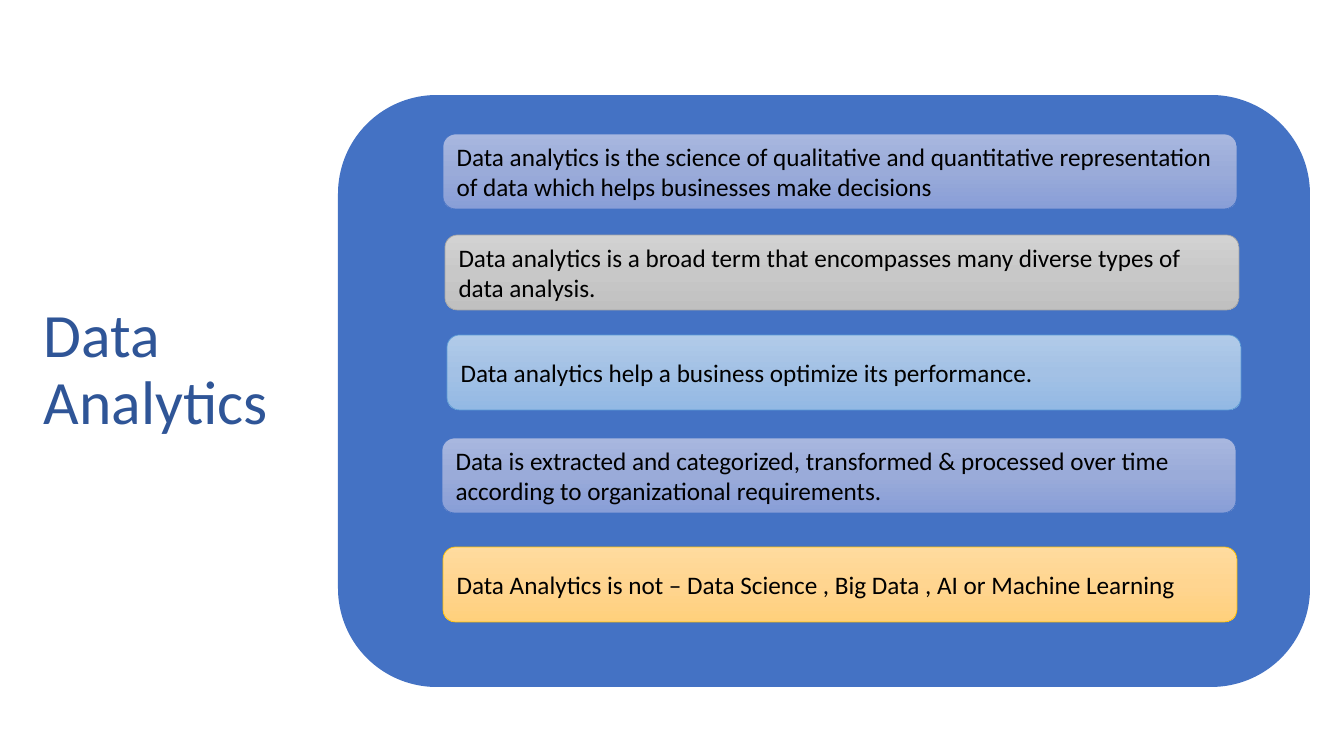
import copy
import dataclasses

import pptx
import pptx.dml.color
import pptx.enum.shapes
import pptx.enum.text
import pptx.oxml.ns
import pptx.util

SCALE = 12192000 / 1344


def px(n):
    return pptx.util.Emu(round(n * SCALE))


def rgb(value):
    return pptx.dml.color.RGBColor.from_string(value)


@dataclasses.dataclass(frozen=True)
class Theme:
    font: str = "Calibri"
    title_size: int = 44
    body_size: int = 18
    line_width: float = 0.5
    title: str = "2F5597"
    body: str = "000000"
    panel: str = "4472C4"
    indigo: tuple = ("4472C4", "A8B7DF", "9AABD9", "889ED7")
    gray: tuple = ("A5A5A5", "D2D2D2", "C8C8C8", "C0C0C0")
    sky: tuple = ("5B9BD5", "B1CBE9", "A3C1E5", "93B9E4")
    amber: tuple = ("FFC000", "FFDB9E", "FFD590", "FFD07C")


class Deck:
    def __init__(self, theme):
        self.theme = theme
        self.prs = pptx.Presentation()
        self.prs.slide_width, self.prs.slide_height = px(1344), px(756)
        self.slide = self.prs.slides.add_slide(self.prs.slide_layouts[6])

    def add_text(self, sp, text, size, color, spacing=1.0):
        tf = sp.text_frame
        tf.word_wrap = True
        tf.vertical_anchor = pptx.enum.text.MSO_ANCHOR.MIDDLE
        p = tf.paragraphs[0]
        p.alignment = pptx.enum.text.PP_ALIGN.LEFT
        p.line_spacing = spacing
        r = p.add_run()
        r.text = text
        r.font.name = self.theme.font
        r.font.size = pptx.util.Pt(size)
        r.font.color.rgb = rgb(color)

    def title(self, box, text):
        sp = self.slide.shapes.add_textbox(*map(px, box))
        self.add_text(sp, text, self.theme.title_size, self.theme.title, 0.9)

    def rounded(self, box):
        kind = pptx.enum.shapes.MSO_SHAPE.ROUNDED_RECTANGLE
        sp = self.slide.shapes.add_shape(kind, *map(px, box))
        sp.shadow.inherit = False
        return sp

    def panel(self, box):
        sp = self.rounded(box)
        sp.fill.solid()
        sp.fill.fore_color.rgb = rgb(self.theme.panel)
        sp.line.fill.background()

    def bar(self, box, text, palette):
        sp = self.rounded(box)
        line, *stops = palette
        sp.fill.gradient()
        sp.fill.gradient_angle = 270
        gs_list = sp.element.spPr.find(".//" + pptx.oxml.ns.qn("a:gsLst"))
        gs_list.insert(1, copy.deepcopy(gs_list[0]))
        for stop, color, position in zip(sp.fill.gradient_stops, stops, (0, 0.5, 1)):
            stop.color.rgb = rgb(color)
            stop.position = position
        sp.line.color.rgb = rgb(line)
        sp.line.width = pptx.util.Pt(self.theme.line_width)
        self.add_text(sp, text, self.theme.body_size, self.theme.body)


def main():
    theme = Theme()
    deck = Deck(theme)
    deck.panel((338, 95, 972, 592))
    deck.title((34, 152, 266, 438), "Data Analytics")
    bars = [
        (443, 134, theme.indigo, "Data analytics is the science of qualitative and quantitative "
         "representation of data which helps businesses make decisions"),
        (445, 235, theme.gray, "Data analytics is a broad term that encompasses many diverse "
         "types of data analysis."),
        (447, 335, theme.sky, "Data analytics help a business optimize its performance."),
        (442, 438, theme.indigo, "Data is extracted and categorized, transformed & processed "
         "over time according to organizational requirements."),
        (443, 547, theme.amber, "Data Analytics is not – Data Science , Big Data , AI or "
         "Machine Learning"),
    ]
    for left, top, palette, text in bars:
        deck.bar((left, top, 794, 75), text, palette)
    deck.prs.save("out.pptx")


if __name__ == "__main__":
    main()
